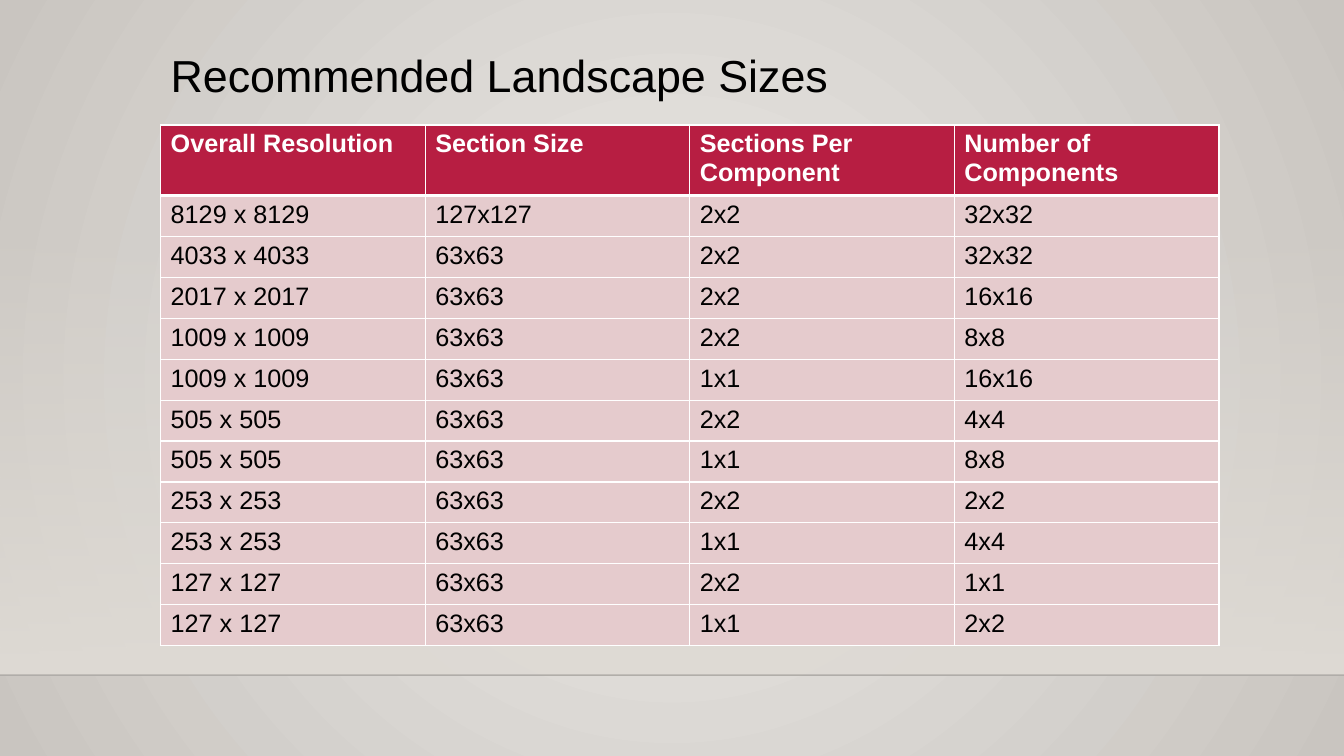
from lxml.etree import SubElement
from pptx import Presentation
from pptx.dml.color import RGBColor
from pptx.enum.shapes import MSO_CONNECTOR, MSO_SHAPE
from pptx.enum.text import MSO_ANCHOR
from pptx.oxml import parse_xml
from pptx.oxml.ns import nsdecls, qn
from pptx.util import Pt

PX = 9525
WIDTH, HEIGHT = 1280, 720
FLOOR_TOP = 643
FONT = "Arial"
RED, PINK, WHITE, BLACK = "B71E42", "E5CBCD", "FFFFFF", "000000"

HEADER = ("Overall Resolution", "Section Size", "Sections Per Component", "Number of Components")
SIZES = [
    ("8129 x 8129", "127x127", "2x2", "32x32"),
    ("4033 x 4033", "63x63", "2x2", "32x32"),
    ("2017 x 2017", "63x63", "2x2", "16x16"),
    ("1009 x 1009", "63x63", "2x2", "8x8"),
    ("1009 x 1009", "63x63", "1x1", "16x16"),
    ("505 x 505", "63x63", "2x2", "4x4"),
    ("505 x 505", "63x63", "1x1", "8x8"),
    ("253 x 253", "63x63", "2x2", "2x2"),
    ("253 x 253", "63x63", "1x1", "4x4"),
    ("127 x 127", "63x63", "2x2", "1x1"),
    ("127 x 127", "63x63", "1x1", "2x2"),
]


def px(*values):
    return [value * PX for value in values]


def rgb(color):
    return RGBColor.from_string(color)


def set_gradient(fill, start, end):
    fill.gradient()
    for stop, color in zip(fill.gradient_stops, (start, end)):
        stop.color.rgb = rgb(color)


def set_alpha(color_element, percent):
    SubElement(color_element, qn("a:alpha"), val=str(percent * 1000))


def set_font(p, size, color, bold=False):
    p.font.name = FONT
    p.font.size = Pt(size)
    p.font.bold = bold
    p.font.color.rgb = rgb(color)


def add_background(s):
    set_gradient(s.background.fill, "EBE9E6", "C9C5C0")
    lin = s.element.find(".//" + qn("a:lin"))
    lin.getparent().replace(lin, parse_xml(
        f'<a:path {nsdecls("a")} path="circle">'
        '<a:fillToRect l="50000" t="50000" r="50000" b="50000"/></a:path>'))


def add_wall(s, x, y, w, h):
    wall = s.shapes.add_shape(MSO_SHAPE.RECTANGLE, *px(x, y, w, h))
    wall.shadow.inherit = False
    set_gradient(wall.fill, "DFDBD5", "DFDBD5")
    wall.fill.gradient_angle = 270
    wall.line.fill.background()
    set_alpha(wall.element.find(".//" + qn("a:srgbClr")), 0)

    edge = s.shapes.add_connector(MSO_CONNECTOR.STRAIGHT, *px(x, y + h, x + w, y + h))
    edge.line.color.rgb = rgb("000001")
    edge.line.width = Pt(1)
    set_alpha(edge.element.find(".//" + qn("a:srgbClr")), 20)
    SubElement(edge.element.spPr, qn("a:effectLst"))


def add_title(s, x, y, w, h, text):
    tf = s.shapes.add_textbox(*px(x, y, w, h)).text_frame
    tf.word_wrap = True
    tf.vertical_anchor = MSO_ANCHOR.MIDDLE
    p = tf.paragraphs[0]
    p.text = text
    p.line_spacing = 0.9
    set_font(p, 32, BLACK)


def set_borders(cell, widths):
    tcPr = cell._tc.get_or_add_tcPr()
    for i, (side, width) in enumerate(zip("LRTB", widths)):
        tcPr.insert(i, parse_xml(
            f'<a:ln{side} {nsdecls("a")} w="{Pt(width)}"><a:solidFill>'
            f'<a:srgbClr val="{WHITE}"/></a:solidFill></a:ln{side}>'))


def add_size_table(s, x, y, w, h, rows):
    table = s.shapes.add_table(len(rows), len(rows[0]), *px(x, y, w, h)).table
    table.horz_banding = False
    for r, row in enumerate(rows):
        is_header = r == 0
        for c, text in enumerate(row):
            cell = table.cell(r, c)
            cell.text = text
            cell.fill.solid()
            cell.fill.fore_color.rgb = rgb(RED if is_header else PINK)
            set_font(cell.text_frame.paragraphs[0], 18, WHITE if is_header else BLACK, is_header)
            set_borders(cell, (1, 1, 3 if r == 1 else 1, 3 if is_header else 1))


def main():
    prs = Presentation()
    prs.slide_width, prs.slide_height = px(WIDTH, HEIGHT)
    s = prs.slides.add_slide(prs.slide_layouts[6])
    add_background(s)
    add_wall(s, 0, 212, WIDTH, FLOOR_TOP - 212)
    add_title(s, 153, 44, 1008, 60, "Recommended Landscape Sizes")
    rows = [HEADER] + SIZES
    add_size_table(s, 153, 119, 1008, 39 * len(rows), rows)
    prs.save("out.pptx")


if __name__ == "__main__":
    main()
